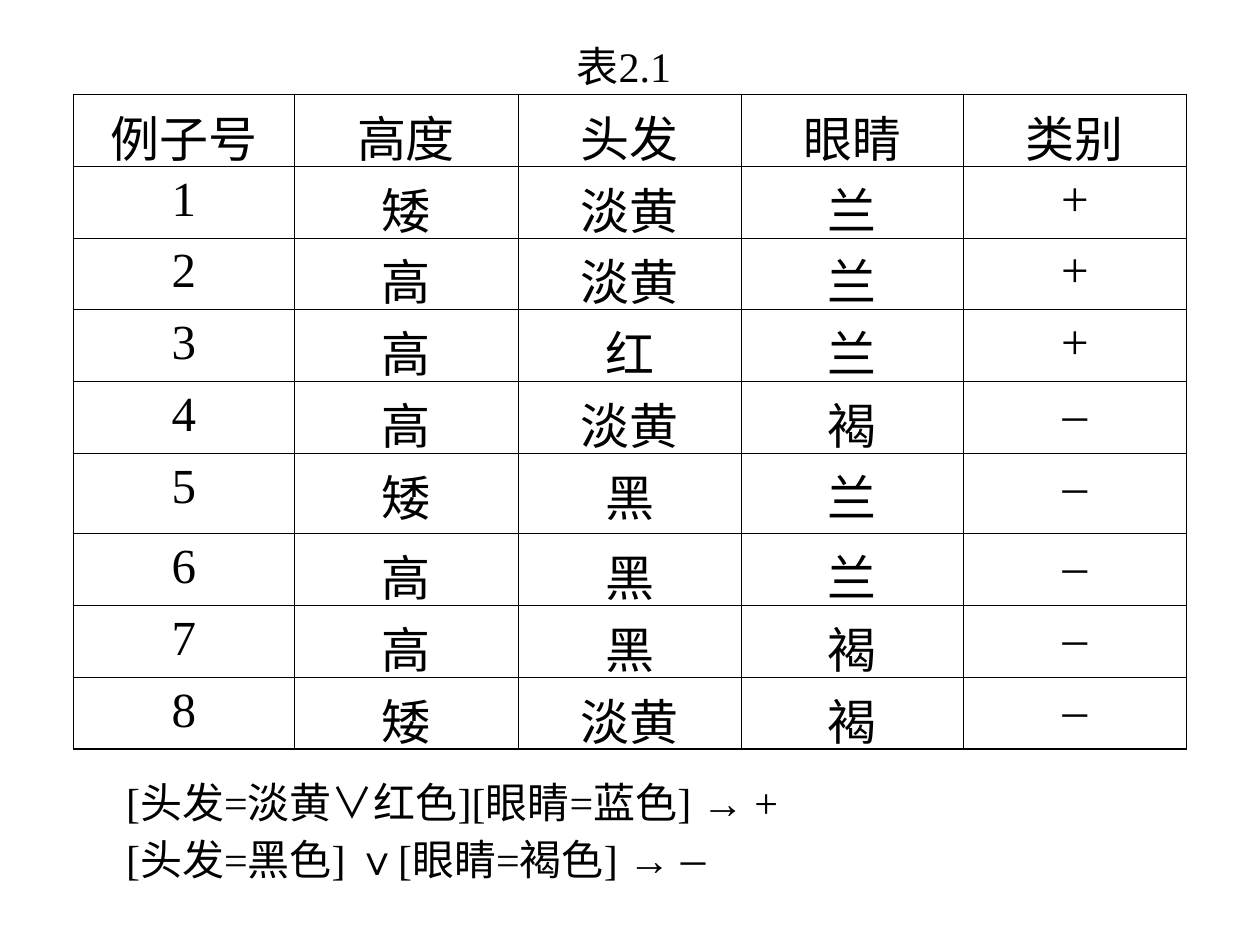
from dataclasses import dataclass

from pptx import Presentation
from pptx.dml.color import RGBColor
from pptx.enum.text import MSO_ANCHOR, MSO_AUTO_SIZE, PP_ALIGN
from pptx.oxml import parse_xml
from pptx.oxml.ns import nsdecls
from pptx.util import Pt


@dataclass(frozen=True)
class Theme:
    """Colours, font and sizes of the slide."""
    ink: str = "000000"
    font: str = "Times New Roman"
    text: float = 24
    cell: float = 28
    outer: float = 1.08
    inner: float = 0.45


THEME = Theme()
EXAMPLES = [
    ("例子号", "高度", "头发", "眼睛", "类别"),
    ("1", "矮", "淡黄", "兰", "+"),
    ("2", "高", "淡黄", "兰", "+"),
    ("3", "高", "红", "兰", "+"),
    ("4", "高", "淡黄", "褐", "–"),
    ("5", "矮", "黑", "兰", "–"),
    ("6", "高", "黑", "兰", "–"),
    ("7", "高", "黑", "褐", "–"),
    ("8", "矮", "淡黄", "褐", "–"),
]
COLUMN_WIDTHS = [126, 128, 127.5, 127, 127.5]
ROW_HEIGHT, TALL_ROW_HEIGHT, TALL_ROW = 41, 46, 5
RULES = [
    [("[头发=淡黄∨红色][眼睛=蓝色] → +", THEME.text)],
    [("[头发=黑色] ∨[眼睛=褐色] → ", THEME.text), ("–", THEME.cell)],
]


def style(paragraph, size=None, align=None):
    """Give a paragraph the theme font, a size and an alignment."""
    paragraph.alignment = align
    paragraph.font.name = THEME.font
    paragraph.font.color.rgb = RGBColor.from_string(THEME.ink)
    if size:
        paragraph.font.size = Pt(size)


def set_borders(cell, widths):
    """Draw the left, right, top and bottom borders of a cell."""
    properties = cell._tc.get_or_add_tcPr()
    for side, width in zip("LRTB", widths):
        properties.append(parse_xml(
            f'<a:ln{side} {nsdecls("a")} w="{Pt(width)}"><a:solidFill>'
            f'<a:srgbClr val="{THEME.ink}"/></a:solidFill></a:ln{side}>'))


def add_caption(slide, left, top, width, height):
    """Place the table caption in the title placeholder."""
    caption = slide.shapes.title
    caption.left, caption.top = Pt(left), Pt(top)
    caption.width, caption.height = Pt(width), Pt(height)
    frame = caption.text_frame
    frame.text = "表2.1"
    frame.vertical_anchor = MSO_ANCHOR.TOP
    frame.auto_size = MSO_AUTO_SIZE.SHAPE_TO_FIT_TEXT
    style(frame.paragraphs[0], THEME.text, PP_ALIGN.CENTER)


def add_examples(slide, left, top, width, height):
    """Place the table of training examples."""
    last_row, last_column = len(EXAMPLES) - 1, len(COLUMN_WIDTHS) - 1
    table = slide.shapes.add_table(
        last_row + 1, last_column + 1,
        Pt(left), Pt(top), Pt(width), Pt(height)).table
    table.first_row = table.horz_banding = False
    for column, column_width in zip(table.columns, COLUMN_WIDTHS):
        column.width = Pt(column_width)
    for r, values in enumerate(EXAMPLES):
        table.rows[r].height = Pt(TALL_ROW_HEIGHT if r == TALL_ROW else ROW_HEIGHT)
        for c, value in enumerate(values):
            cell = table.cell(r, c)
            cell.text = value
            style(cell.text_frame.paragraphs[0], THEME.cell, PP_ALIGN.CENTER)
            edges = (c == 0, c == last_column, r == 0, r == last_row)
            set_borders(cell, [THEME.outer if edge else THEME.inner for edge in edges])
            cell.fill.background()


def add_rules(slide, left, top, width, height):
    """Place the classification rules under the table."""
    frame = slide.shapes.add_textbox(
        Pt(left), Pt(top), Pt(width), Pt(height)).text_frame
    frame.word_wrap = True
    frame.auto_size = MSO_AUTO_SIZE.SHAPE_TO_FIT_TEXT
    for index, rule in enumerate(RULES):
        paragraph = frame.add_paragraph() if index else frame.paragraphs[0]
        style(paragraph, THEME.text if len(rule) == 1 else None)
        for text, size in rule:
            run = paragraph.add_run()
            run.text = text
            if len(rule) > 1:
                run.font.size = Pt(size)


def main():
    """Build and save the slide."""
    deck = Presentation()
    deck.slide_width, deck.slide_height = Pt(720), Pt(540)
    slide = deck.slides.add_slide(deck.slide_layouts.get_by_name("Title Only"))
    add_caption(slide, 29, 19.5, 655, 65)
    add_examples(slide, 42, 54, sum(COLUMN_WIDTHS),
                 ROW_HEIGHT * (len(EXAMPLES) - 1) + TALL_ROW_HEIGHT)
    add_rules(slide, 65, 440, 595, 70)
    deck.save("out.pptx")


if __name__ == "__main__":
    main()
